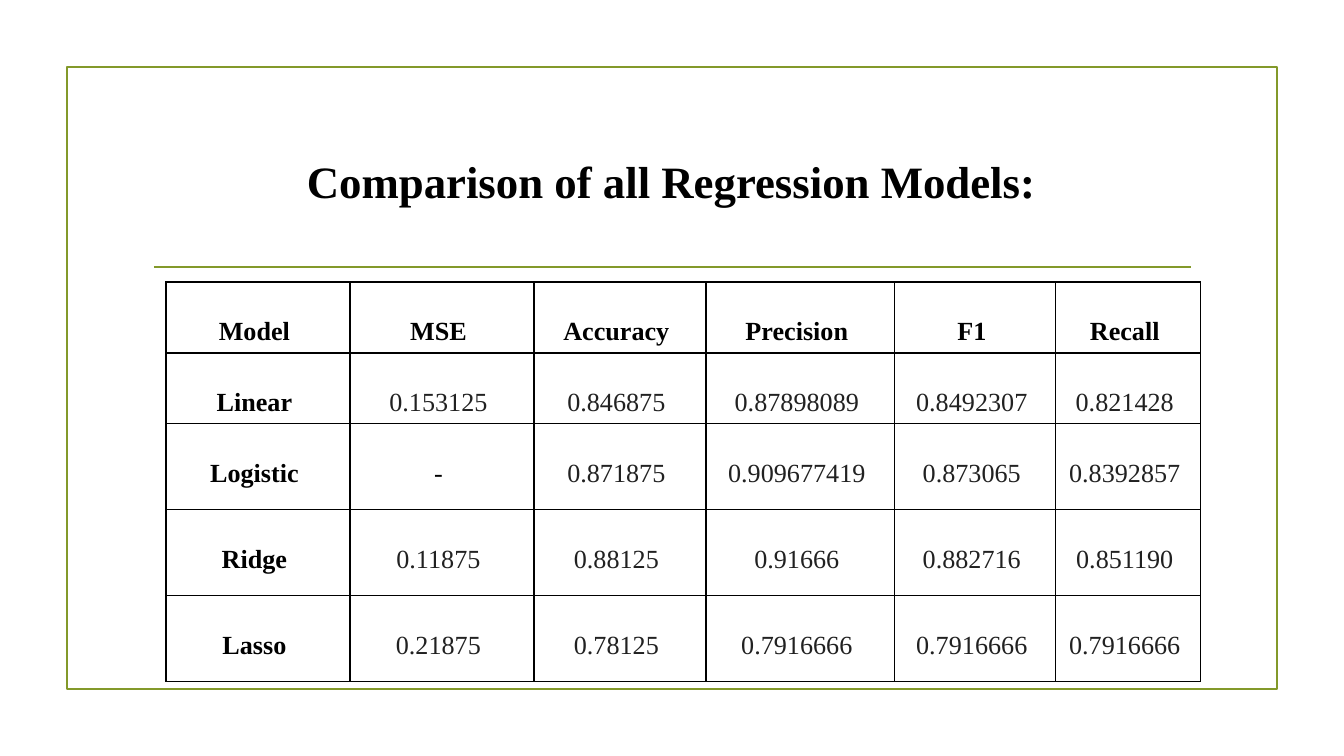
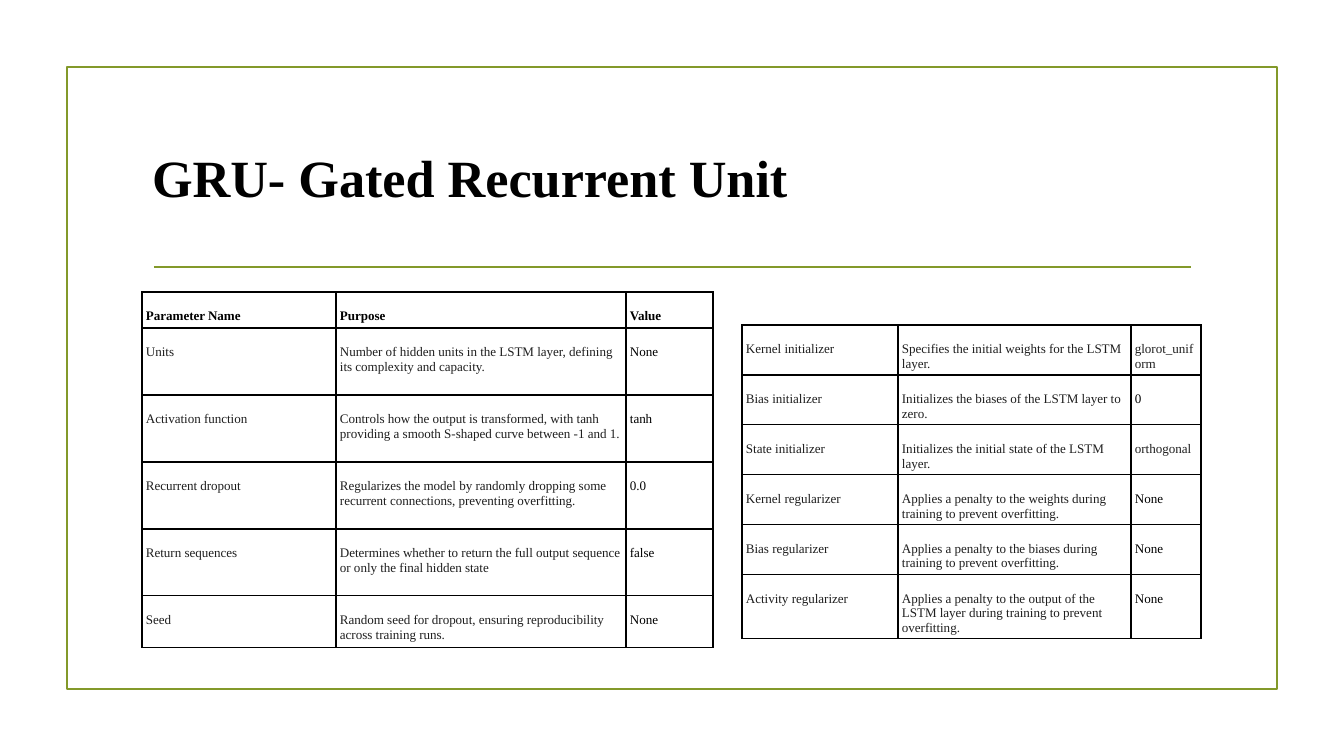
from dataclasses import dataclass

from lxml import etree
from pptx import Presentation
from pptx.dml.color import RGBColor
from pptx.enum.shapes import MSO_CONNECTOR, MSO_SHAPE
from pptx.enum.text import MSO_ANCHOR, MSO_AUTO_SIZE, PP_ALIGN
from pptx.oxml.ns import qn
from pptx.util import Emu, Pt

LEFT, CENTER = PP_ALIGN.LEFT, PP_ALIGN.CENTER
MIDDLE, TOP = MSO_ANCHOR.MIDDLE, MSO_ANCHOR.TOP
NO_AUTOFIT = MSO_AUTO_SIZE.NONE
STRAIGHT, RECTANGLE = MSO_CONNECTOR.STRAIGHT, MSO_SHAPE.RECTANGLE
TITLE_ONLY = 5
EMU_PER_PX = 914400 / 134.4


@dataclass(frozen=True)
class Theme:
    font: str = "Times New Roman"
    accent: str = "83992A"
    black: str = "000000"
    metric: str = "212121"
    detail: str = "1F1F1F"
    comparison_title: int = 24
    network_title: int = 28
    metric_size: int = 14
    detail_size: int = 7
    accent_line: float = 1.25
    cell_line: float = 0.75


THEME = Theme()


@dataclass(frozen=True)
class TableStyle:
    size: int
    body_color: str
    black_values: tuple  # body texts set in black
    align: int
    margins: tuple  # left, top, right, bottom in px
    bold_names: bool = False


METRICS = TableStyle(THEME.metric_size, THEME.metric, ("-",), CENTER,
                     (10, 35, 17, 5), bold_names=True)
PARAMETERS = TableStyle(THEME.detail_size, THEME.detail,
                        ("None", "tanh", "0.0", "false", "0"), LEFT,
                        (4, 17, 4, 3))

# Content
MODEL_ROWS = [
    ("Model", "MSE", "Accuracy", "Precision", "F1", "Recall"),
    ("Linear", "0.153125", "0.846875", "0.87898089", "0.8492307", "0.821428"),
    ("Logistic", "-", "0.871875", "0.909677419", "0.873065", "0.8392857"),
    ("Ridge", "0.11875", "0.88125", "0.91666", "0.882716", "0.851190"),
    ("Lasso", "0.21875", "0.78125", "0.7916666", "0.7916666", "0.7916666"),
]
LAYER_ROWS = [
    ("Parameter Name", "Purpose", "Value"),
    ("Units", "Number of hidden units in the LSTM layer, defining its "
     "complexity and capacity.", "None"),
    ("Activation function", "Controls how the output is transformed, with tanh "
     "providing a smooth S-shaped curve between -1 and 1.", "tanh"),
    ("Recurrent dropout", "Regularizes the model by randomly dropping some "
     "recurrent connections, preventing overfitting.", "0.0"),
    ("Return sequences", "Determines whether to return the full output sequence "
     "or only the final hidden state", "false"),
    ("Seed", "Random seed for dropout, ensuring reproducibility across "
     "training runs.", "None"),
]
SETUP_ROWS = [
    ("Kernel initializer", "Specifies the initial weights for the LSTM layer.",
     "glorot_uniform"),
    ("Bias initializer", "Initializes the biases of the LSTM layer to zero.", "0"),
    ("State initializer", "Initializes the initial state of the LSTM layer.",
     "orthogonal"),
    ("Kernel regularizer", "Applies a penalty to the weights during training to "
     "prevent overfitting.", "None"),
    ("Bias regularizer", "Applies a penalty to the biases during training to "
     "prevent overfitting.", "None"),
    ("Activity regularizer", "Applies a penalty to the output of the LSTM layer "
     "during training to prevent overfitting.", "None"),
]


# Helpers
def px(length):
    return Emu(round(length * EMU_PER_PX))


def rgb(color):
    return RGBColor.from_string(color)


def format_text(frame, size, color, bold, align):
    for paragraph in frame.paragraphs:
        paragraph.alignment = align
        for span in paragraph.runs:
            span.font.name = THEME.font
            span.font.size = Pt(size)
            span.font.bold = bold
            span.font.color.rgb = rgb(color)


def set_accent_line(line):
    line.color.rgb = rgb(THEME.accent)
    line.width = Pt(THEME.accent_line)


# Shared page furniture
def add_frame(page):
    frame = page.shapes.add_shape(RECTANGLE, px(67), px(67), px(1210), px(622))
    frame.shadow.inherit = False
    frame.fill.background()
    set_accent_line(frame.line)


def add_title_rule(page):
    rule = page.shapes.add_connector(STRAIGHT, px(154), px(267), px(1191), px(267))
    set_accent_line(rule.line)
    etree.SubElement(rule._element.spPr, qn("a:effectLst"))


def set_title(page, text, size, align, line_spacing):
    title = page.shapes.title
    title.left, title.top, title.width, title.height = map(px, (142, 109, 1058, 144))
    frame = title.text_frame
    frame.text = text
    frame.word_wrap = True
    frame.auto_size = NO_AUTOFIT
    frame.vertical_anchor = MIDDLE
    frame.margin_left = frame.margin_right = px(10)
    frame.margin_top = frame.margin_bottom = px(5)
    frame.paragraphs[0].line_spacing = line_spacing
    format_text(frame, size, THEME.black, True, align)


def add_page(deck, title, size, align, line_spacing=1.0):
    page = deck.slides.add_slide(deck.slide_layouts[TITLE_ONLY])
    add_frame(page)
    add_title_rule(page)
    set_title(page, title, size, align, line_spacing)
    return page


# Tables
def set_borders(cell):
    properties = cell._tc.get_or_add_tcPr()
    for index, side in enumerate(("a:lnL", "a:lnR", "a:lnT", "a:lnB")):
        border = etree.Element(qn(side), w=str(Pt(THEME.cell_line)))
        fill = etree.SubElement(border, qn("a:solidFill"))
        etree.SubElement(fill, qn("a:srgbClr"), val=THEME.black)
        properties.insert(index, border)


def fill_cell(cell, text, style, strong):
    cell.text_frame.text = text
    cell.fill.background()
    cell.vertical_anchor = TOP
    (cell.margin_left, cell.margin_top,
     cell.margin_right, cell.margin_bottom) = map(px, style.margins)
    black = strong or text in style.black_values
    color = THEME.black if black else style.body_color
    format_text(cell.text_frame, style.size, color, strong, style.align)
    set_borders(cell)


def add_grid(page, left, top, widths, heights, rows, style, header=True):
    table = page.shapes.add_table(len(rows), len(widths), px(left), px(top),
                                  px(sum(widths)), px(sum(heights))).table
    table.first_row = table.horz_banding = False
    for column, width in zip(table.columns, widths):
        column.width = px(width)
    for row_index, (values, height) in enumerate(zip(rows, heights)):
        table.rows[row_index].height = px(height)
        for column_index, text in enumerate(values):
            strong = (header and row_index == 0
                      or style.bold_names and column_index == 0)
            fill_cell(table.cell(row_index, column_index), text, style, strong)


# Slides
def build_comparison(deck):
    page = add_page(deck, "Comparison of all Regression Models:",
                    THEME.comparison_title, CENTER)
    add_grid(page, 166, 282, (184, 184, 172, 189, 161, 145),
             [71] * 2 + [86] * 3, MODEL_ROWS, METRICS)


def build_network(deck):
    page = add_page(deck, "GRU- Gated Recurrent Unit",
                    THEME.network_title, LEFT, line_spacing=0.9)
    add_grid(page, 142, 292, (194, 290, 87), [36] + [67] * 4 + [52],
             LAYER_ROWS, PARAMETERS)
    add_grid(page, 742, 325, (156, 233, 70), [50] * 5 + [64],
             SETUP_ROWS, PARAMETERS, header=False)


def main():
    deck = Presentation()
    deck.slide_width, deck.slide_height = px(1344), px(756)
    build_comparison(deck)
    build_network(deck)
    deck.save("out.pptx")


if __name__ == "__main__":
    main()
